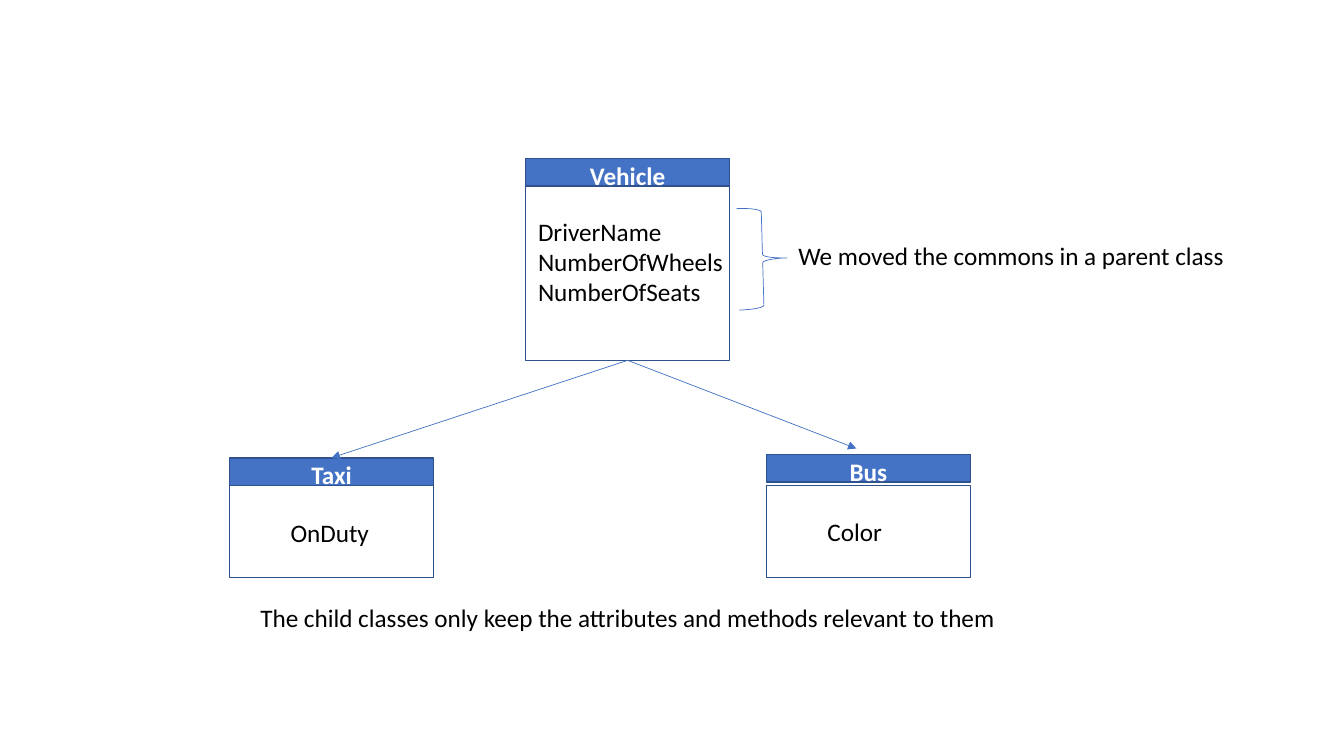
from dataclasses import dataclass

from lxml import etree
from pptx import Presentation
from pptx.dml.color import RGBColor
from pptx.enum.shapes import MSO_CONNECTOR, MSO_SHAPE
from pptx.enum.text import MSO_ANCHOR, PP_ALIGN
from pptx.oxml.ns import qn
from pptx.util import Pt

RECTANGLE, BRACE = MSO_SHAPE.RECTANGLE, MSO_SHAPE.RIGHT_BRACE
STRAIGHT = MSO_CONNECTOR.STRAIGHT
TOP, CENTER, LEFT = MSO_ANCHOR.TOP, PP_ALIGN.CENTER, PP_ALIGN.LEFT

BLUE = RGBColor(0x44, 0x72, 0xC4)
DARK_BLUE = RGBColor(0x2F, 0x52, 0x8F)
WHITE = RGBColor(0xFF, 0xFF, 0xFF)
BLACK = RGBColor(0, 0, 0)

FONT, FONT_SIZE = "Calibri", 18
BOX_WIDTH, HEADER_HEIGHT = 145.6, 19.8


@dataclass(frozen=True)
class Label:
    text: str
    left: float
    top: float
    width: float
    height: float = 21.6


@dataclass(frozen=True)
class ClassBox:
    name: str
    left: float
    top: float
    body_top: float
    body_height: float
    attributes: Label


@dataclass(frozen=True)
class Arrow:
    x1: float
    y1: float
    x2: float
    y2: float


CLASSES = [
    ClassBox("Vehicle", 375.8, 113.2, 133, 124.4,
             Label("DriverName NumberOfWheels NumberOfSeats", 384.5, 154.2, 135, 65)),
    ClassBox("Taxi", 164.2, 327.2, 347, 65.6, Label("OnDuty", 207.6, 369.6, 60)),
    ClassBox("Bus", 547.9, 324.5, 347, 65.6, Label("Color", 591.4, 368.9, 45)),
]
ARROWS = [
    Arrow(448.6, 257.4, 237, 327),
    Arrow(448.6, 257.4, 612, 320.4),
]
NOTES = [
    Label("We moved the commons in a parent class", 570.5, 171.9, 306.7, 43.2),
    Label("The child classes only keep the attributes and methods relevant to them",
          186, 430, 529.2, 43.2),
]


def write_text(sp, text: str, color: RGBColor, align, bold: bool = False,
               inset_top: float = 0) -> None:
    tf = sp.text_frame
    tf.margin_left = tf.margin_right = tf.margin_bottom = 0
    tf.margin_top = Pt(inset_top)
    tf.vertical_anchor = TOP
    tf.word_wrap = True
    tf.text = text
    p = tf.paragraphs[0]
    p.alignment = align
    font = p.runs[0].font
    font.name, font.size, font.bold = FONT, Pt(FONT_SIZE), bold
    font.color.rgb = color


def add_label(slide, label: Label) -> None:
    sp = slide.shapes.add_textbox(Pt(label.left), Pt(label.top),
                                  Pt(label.width), Pt(label.height))
    write_text(sp, label.text, BLACK, LEFT)


def add_rectangle(slide, left: float, top: float, height: float):
    sp = slide.shapes.add_shape(RECTANGLE, Pt(left), Pt(top),
                                Pt(BOX_WIDTH), Pt(height))
    sp.shadow.inherit = False
    sp.fill.background()
    sp.line.color.rgb = DARK_BLUE
    sp.line.width = Pt(1)
    return sp


def add_class_box(slide, box: ClassBox) -> None:
    add_rectangle(slide, box.left, box.body_top, box.body_height)
    header = add_rectangle(slide, box.left, box.top, HEADER_HEIGHT)
    header.fill.solid()
    header.fill.fore_color.rgb = BLUE
    write_text(header, box.name, WHITE, CENTER, bold=True, inset_top=1.2)
    add_label(slide, box.attributes)


def add_arrow(slide, arrow: Arrow) -> None:
    line = slide.shapes.add_connector(STRAIGHT, Pt(arrow.x1), Pt(arrow.y1),
                                      Pt(arrow.x2), Pt(arrow.y2))
    line.line.color.rgb = BLUE
    line.line.width = Pt(0.5)
    etree.SubElement(line.line._get_or_add_ln(), qn("a:tailEnd"), type="triangle")
    etree.SubElement(line._element.spPr, qn("a:effectLst"))


def add_brace(slide) -> None:
    sp = slide.shapes.add_shape(BRACE, Pt(527.4), Pt(148.4), Pt(35.2), Pt(72.6))
    sp.rotation = -1.6
    sp.shadow.inherit = False
    sp.fill.background()
    sp.line.color.rgb = BLUE
    sp.line.width = Pt(0.5)


def main() -> None:
    prs = Presentation()
    prs.slide_width, prs.slide_height = Pt(960.5), Pt(540)
    slide = prs.slides.add_slide(prs.slide_layouts[6])

    # Class diagram
    for box in CLASSES:
        add_class_box(slide, box)
    for arrow in ARROWS:
        add_arrow(slide, arrow)

    # Explanations
    add_brace(slide)
    for note in NOTES:
        add_label(slide, note)

    prs.save("out.pptx")


if __name__ == "__main__":
    main()
